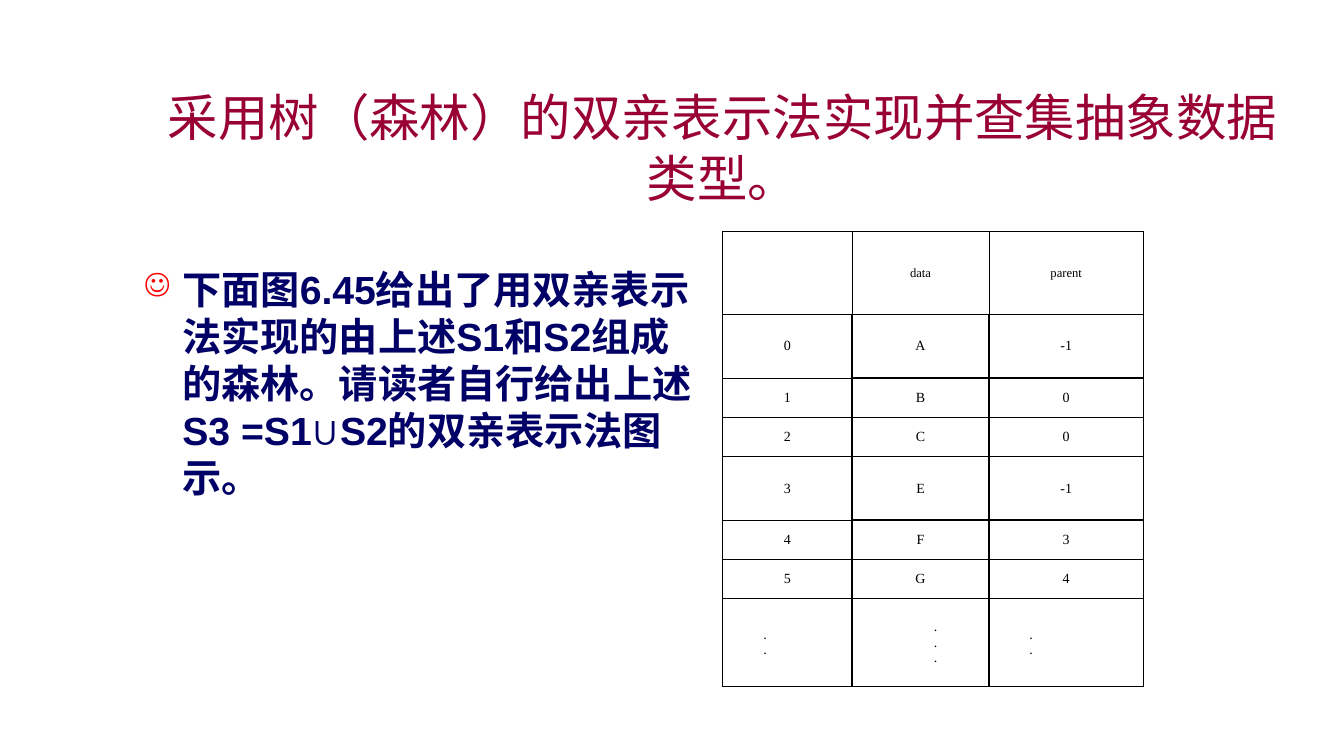
from lxml.etree import SubElement
from pptx import Presentation
from pptx.dml.color import RGBColor
from pptx.enum.text import MSO_ANCHOR as Anchor, PP_ALIGN as Align
from pptx.oxml.ns import qn
from pptx.util import Inches, Pt

TITLE = "采用树（森林）的双亲表示法实现并查集抽象数据类型。"
EXPLANATION = "下面图6.45给出了用双亲表示法实现的由上述S1和S2组成的森林。请读者自行给出上述S3 =S1∪S2的双亲表示法图示。"
PARENT_ROWS = [
    ("", "data", "parent"),
    ("0", "A", "-1"),
    ("1", "B", "0"),
    ("2", "C", "0"),
    ("3", "E", "-1"),
    ("4", "F", "3"),
    ("5", "G", "4"),
    (".\n.", ".\n.\n.", ".\n."),
]
COLUMN_WIDTHS = [1.28, 1.36, 1.53]
ROW_HEIGHTS = [0.82, 0.63, 0.39, 0.39, 0.63, 0.39, 0.39, 0.87]

TITLE_FONT = {"name": "Arial", "size": Pt(36), "bold": False}
EXPLANATION_FONT = {"name": "Arial", "size": Pt(28), "bold": True}
HEADER_FONT = {"name": "Times New Roman", "size": Pt(9), "bold": False}
ENTRY_FONT = {**HEADER_FONT, "size": Pt(10)}
THIN, THICK = 0.75, 1


def color(hex_value):
    return RGBColor.from_string(hex_value)


def style(font, values, hex_value):
    for key, value in values.items():
        setattr(font, key, value)
    font.color.rgb = color(hex_value)


def indent(paragraph, left, first):
    properties = paragraph._p.get_or_add_pPr()
    properties.set("marL", str(Inches(left)))
    properties.set("indent", str(Inches(first)))
    return properties


def add_text(slide, text, place, anchor):
    frame = slide.shapes.add_textbox(*map(Inches, place)).text_frame
    frame.word_wrap = True
    frame.vertical_anchor = anchor
    frame.text = text
    return frame.paragraphs[0]


def add_borders(cell, widths):
    properties = cell._tc.get_or_add_tcPr()
    for side, width in widths.items():
        line = SubElement(properties, qn(f"a:ln{side}"), w=str(Pt(width)))
        fill = SubElement(line, qn("a:solidFill"))
        SubElement(fill, qn("a:srgbClr"), val="000000")


def border_widths(row, column):
    outer = THIN if row == 0 or column == 0 else THICK
    widths = dict.fromkeys("LRTB", outer)
    if row == 0 and column > 0:
        widths["B"] = THICK
    if row > 0 and column == 0:
        widths["R"] = THICK
    return widths


def fill_cell(cell, text, row, column):
    add_borders(cell, border_widths(row, column))
    cell.fill.background()
    cell.vertical_anchor = Anchor.MIDDLE
    cell.text = text
    is_dots = row == len(PARENT_ROWS) - 1
    for paragraph in cell.text_frame.paragraphs:
        if is_dots:
            indent(paragraph, 0.5, -0.2)
        paragraph.alignment = Align.LEFT if is_dots and column != 1 else Align.CENTER
        for run in paragraph.runs:
            style(run.font, ENTRY_FONT if row else HEADER_FONT, "000000")


def main():
    deck = Presentation()
    deck.slide_width, deck.slide_height = Inches(13.33), Inches(7.5)
    slide = deck.slides.add_slide(deck.slide_layouts[6])

    title = add_text(slide, TITLE, (1.33, 0.83, 11.67, 1.25), Anchor.MIDDLE)
    title.alignment = Align.CENTER
    style(title.runs[0].font, TITLE_FONT, "990033")

    explanation = add_text(slide, EXPLANATION, (1.33, 2.58, 5.72, 4.08), Anchor.TOP)
    bullet = indent(explanation, 0.38, -0.38)
    bullet_color = SubElement(bullet, qn("a:buClr"))
    SubElement(bullet_color, qn("a:srgbClr"), val="FF0000")
    SubElement(bullet, qn("a:buSzPct"), val="80000")
    SubElement(bullet, qn("a:buChar"), char="☺")
    style(explanation.runs[0].font, EXPLANATION_FONT, "000066")

    place = map(Inches, (7.17, 2.3, sum(COLUMN_WIDTHS), sum(ROW_HEIGHTS)))
    parents = slide.shapes.add_table(len(ROW_HEIGHTS), len(COLUMN_WIDTHS), *place).table
    parents.first_row = parents.horz_banding = False
    for column, width in zip(parents.columns, COLUMN_WIDTHS):
        column.width = Inches(width)
    for row, height in zip(parents.rows, ROW_HEIGHTS):
        row.height = Inches(height)
    for row, entries in enumerate(PARENT_ROWS):
        for column, text in enumerate(entries):
            fill_cell(parents.cell(row, column), text, row, column)

    deck.save("out.pptx")


if __name__ == "__main__":
    main()
